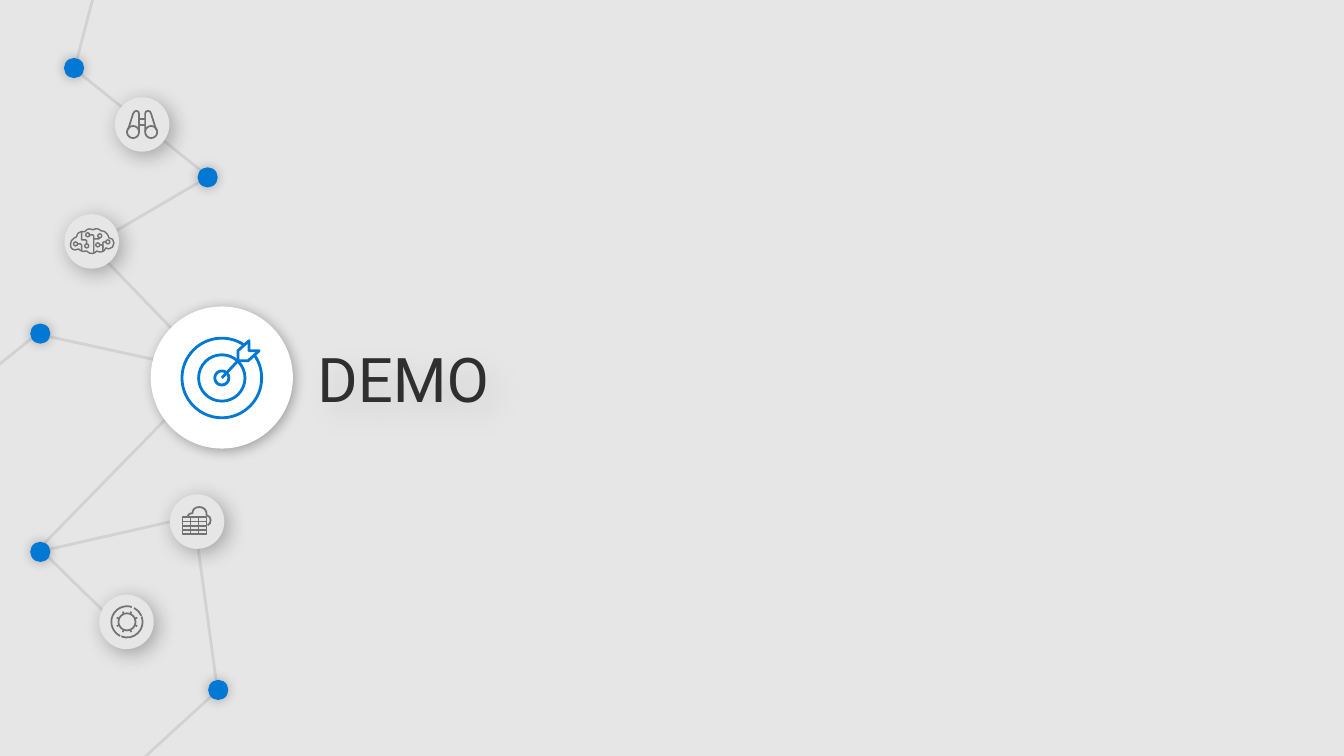
from dataclasses import dataclass
from math import ceil, cos, radians, sin, tan
from typing import Optional, Union

from lxml.etree import SubElement
from pptx import Presentation
from pptx.dml.color import RGBColor
from pptx.enum.shapes import MSO_CONNECTOR, MSO_SHAPE
from pptx.enum.text import MSO_AUTO_SIZE
from pptx.oxml.ns import qn
from pptx.util import Emu, Inches, Pt

# Grid: square cells, 1333 columns by 750 rows
COLS, ROWS = 1333, 750
WIDTH, HEIGHT = Inches(13.33), Inches(7.5)
COLORS = {"paper": "E6E6E6", "link": "D2D2D2", "icon": "737373",
          "accent": "0078D4", "white": "FFFFFF", "ink": "2F2F2F", "shade": "000000"}
TITLE_FORMAT = {"size": Pt(44), "name": "Roboto"}
FRAME_FORMAT = {"margin_left": Inches(0.1), "margin_right": Inches(0.1),
                "margin_top": Inches(0.1), "margin_bottom": Inches(0.1),
                "word_wrap": True, "auto_size": MSO_AUTO_SIZE.SHAPE_TO_FIT_TEXT}


@dataclass
class Shadow:
    opacity: int
    blur: float
    distance: float


@dataclass
class Disc:
    x: float
    y: float
    r: float
    color: str
    shadow: Shadow


@dataclass
class Link:
    x1: float
    y1: float
    x2: float
    y2: float
    head: Optional[str] = None


@dataclass
class Path:
    """Pairs are corners; sextuples are cubic curves."""
    steps: list


@dataclass
class Arc:
    x: float
    y: float
    r: float
    start: float = 0
    end: float = 360

    @property
    def steps(self) -> list:
        count = ceil(abs(self.end - self.start) / 90)
        turn = radians(self.end - self.start) / count
        k = 4 / 3 * tan(turn / 4)
        steps = [self.at(radians(self.start))]
        for i in range(count):
            a = radians(self.start) + i * turn
            b = a + turn
            steps.append((*self.at(a, k), *self.at(b, -k), *self.at(b)))
        return steps

    def at(self, a: float, k: float = 0) -> tuple:
        return (self.x + self.r * (cos(a) - k * sin(a)), self.y + self.r * (sin(a) + k * cos(a)))


@dataclass
class Icon:
    strokes: list[Union[Arc, Path]]
    color: str = "icon"
    weight: float = 1.25


SOFT, GLOW = Shadow(30, 15, 4), Shadow(27, 8, 0)
HERO, FAINT = Shadow(30, 9, 2), Shadow(9, 20, 11)

LINKS = [Link(31, 336, -10, 369), Link(209, 369, 49, 334, "oval"), Link(218, 683, 125, 768),
         Link(193, 518, 217, 694), Link(91, 244, 209, 366), Link(44, 549, 128, 631),
         Link(44, 546, 185, 514), Link(209, 370, 44, 539), Link(197, 181, 93, 242)]
TOP_LINKS = [Link(77, 71, 204, 173), Link(75, 64, 93, -5)]
DOTS = [(206, 176), (216.5, 684.5), (73.5, 67.5), (40, 547.5), (40, 331)]

GEAR = Icon([Arc(126, 617, 8.5), Arc(126, 617, 15.5, 116, 288), Arc(126, 617, 15.5, 112, -20),
             Arc(126, 617, 15.5, -23, -63)]
            + [Path([(126 + r * cos(radians(a)), 617 + r * sin(radians(a))) for r in (8.5, 11)])
               for a in (22.5 + 45 * k for k in range(8))])
BINOCULARS = Icon([
    Arc(132, 131, 6), Arc(150, 131, 6),
    Path([(155, 129), (150, 113), (149, 111, 149, 110, 147, 110),
          (145, 110, 144, 111, 144, 113), (144, 131)]),
    Path([(138, 131), (138, 113), (138, 111, 137, 110, 135, 110),
          (134, 110, 133, 111, 132, 113), (127, 129)]),
    Path([(138, 118), (144, 118)]), Path([(138, 124), (144, 124)])])
TARGET = Icon([
    Arc(220, 375, 39.5, -36, 304), Arc(220, 375, 23), Arc(220, 375, 7),
    Path([(220, 375), (236, 358)]),
    Path([(257, 348), (247, 348), (247, 338), (236, 348), (236, 358), (246, 358), (257, 348)])],
    "accent", 2)
CLOUD = Icon([Path([(186, 512), (187, 510, 189, 509, 191, 509), (191, 505, 194, 503, 198, 503),
                    (202, 503, 205, 506, 205, 510), (205, 511), (208, 512, 209, 514, 209, 516),
                    (209, 519, 208, 520, 206, 521)])])
BRAIN = Icon(
    [Arc(x, y, 2) for x, y in
     [(107, 240), (97, 243), (87, 233), (99, 234), (86, 244), (75, 242)]]
    + [Path(steps) for steps in [
        [(81, 249), (81, 243), (80, 242), (77, 242)],
        [(93, 251), (93, 234), (92, 233), (88, 233)],
        [(93, 237), (98, 237), (99, 236), (99, 235)],
        [(81, 230), (81, 238), (85, 238), (86, 239), (86, 242)],
        [(105, 240), (103, 240), (102, 241), (102, 246)],
        [(102, 249), (102, 244), (101, 243), (99, 243)],
        [(105, 246), (106, 246, 107, 247, 108, 247), (111, 247, 113, 244, 113, 241),
         (113, 238, 111, 236, 108, 236), (108, 236, 107, 229, 100, 229),
         (100, 229, 97, 225, 92, 228), (92, 228, 87, 225, 84, 230),
         (84, 230, 77, 228, 76, 235), (76, 235, 70, 237, 70, 242),
         (69, 246, 73, 250, 78, 247), (78, 247, 81, 251, 86, 249),
         (86, 249, 91, 255, 96, 249), (96, 249, 102, 253, 105, 246)]]],
    weight=1)


def col(n: float) -> Emu:
    return Emu(round(WIDTH * n / COLS))


def row(n: float) -> Emu:
    return Emu(round(HEIGHT * n / ROWS))


def rgb(name: str) -> RGBColor:
    return RGBColor.from_string(COLORS[name])


def set_line(shape, color: str, weight: float) -> None:
    shape.line.color.rgb = rgb(color)
    shape.line.width = Pt(weight)


def add_shadow(shape, shadow: Shadow) -> None:
    shape.shadow.inherit = False
    effects = shape._element.spPr.find(qn("a:effectLst"))
    outer = SubElement(effects, qn("a:outerShdw"), blurRad=str(Pt(shadow.blur)),
                       dist=str(Pt(shadow.distance)), dir=str(45 * 60000),
                       algn="ctr", rotWithShape="0")
    color = SubElement(outer, qn("a:srgbClr"), val=COLORS["shade"])
    SubElement(color, qn("a:alpha"), val=str(shadow.opacity * 1000))


def add_link(s, link: Link, color: str = "link", weight: float = 2):
    line = s.shapes.add_connector(MSO_CONNECTOR.STRAIGHT, col(link.x1), row(link.y1),
                                  col(link.x2), row(link.y2))
    set_line(line, color, weight)
    if link.head:
        SubElement(line.line._get_or_add_ln(), qn("a:headEnd"), type=link.head)
    SubElement(line._element.spPr, qn("a:effectLst"))
    return line


def add_disc(s, disc: Disc) -> None:
    sp = s.shapes.add_shape(MSO_SHAPE.OVAL, col(disc.x - disc.r), row(disc.y - disc.r),
                            col(2 * disc.r), row(2 * disc.r))
    sp.fill.solid()
    sp.fill.fore_color.rgb = rgb(disc.color)
    sp.line.fill.background()
    add_shadow(sp, disc.shadow)


def add_icon(s, icon: Icon) -> None:
    builder = None
    for stroke in icon.strokes:
        start, *rest = [(col(step[i]), row(step[i + 1]))
                        for step in stroke.steps for i in range(0, len(step), 2)]
        if builder is None:
            builder = s.shapes.build_freeform(*start)
        else:
            builder.move_to(*start)
        builder.add_line_segments(rest, close=start == rest[-1])
    sp = builder.convert_to_shape()
    # Join each three segments of a curve into one cubic
    segments = sp._element.iter(qn("a:lnTo"))
    segments = iter(list(segments))
    for step in (step for stroke in icon.strokes for step in stroke.steps[1:]):
        segment = next(segments)
        if len(step) == 6:
            segment.tag = qn("a:cubicBezTo")
            for extra in (next(segments), next(segments)):
                segment.append(extra[0])
                extra.getparent().remove(extra)
    sp.fill.background()
    set_line(sp, icon.color, icon.weight)
    sp.shadow.inherit = False


def add_table_icon(s, x: float, y: float, w: float, h: float) -> None:
    sp = s.shapes.add_shape(MSO_SHAPE.RECTANGLE, col(x), row(y), col(w), row(h))
    sp.fill.background()
    set_line(sp, "icon", 1.25)
    sp.shadow.inherit = False
    for k in (1, 2):
        add_link(s, Link(x + w * k / 3, y, x + w * k / 3, y + h), "icon", 1.25)
    for k in (1, 2, 3):
        line = add_link(s, Link(x, y + h * k / 4, x + w, y + h * k / 4), "icon", 1.25)
        if k == 2:
            line.begin_connect(sp, 1)
            line.end_connect(sp, 3)


def add_title(s, text: str) -> None:
    box = s.shapes.add_textbox(col(305), row(328), col(556), row(94))
    tf = box.text_frame
    for key, value in FRAME_FORMAT.items():
        setattr(tf, key, value)
    r = tf.paragraphs[0].add_run()
    r.text = text
    for key, value in TITLE_FORMAT.items():
        setattr(r.font, key, value)
    r.font.color.rgb = rgb("ink")
    add_shadow(box, FAINT)


def main() -> None:
    prs = Presentation()
    prs.slide_width, prs.slide_height = WIDTH, HEIGHT
    s = prs.slides.add_slide(prs.slide_layouts[6])
    s.background.fill.solid()
    s.background.fill.fore_color.rgb = rgb("paper")
    # Network and title
    for link in LINKS:
        add_link(s, link)
    add_title(s, "DEMO")
    for link in TOP_LINKS:
        add_link(s, link)
    for x, y in DOTS:
        add_disc(s, Disc(x, y, 10, "accent", GLOW))
    # Badges with their icons
    for x, y, icon in ((125.5, 617, GEAR), (141, 123.5, BINOCULARS), (91, 239.5, BRAIN)):
        add_disc(s, Disc(x, y, 27, "paper", SOFT))
        add_icon(s, icon)
    add_disc(s, Disc(220, 374.5, 70.5, "white", HERO))
    add_icon(s, TARGET)
    add_disc(s, Disc(195.5, 517.5, 27, "paper", SOFT))
    add_table_icon(s, 181, 513, 24, 17)
    add_icon(s, CLOUD)
    prs.save("out.pptx")


if __name__ == "__main__":
    main()
